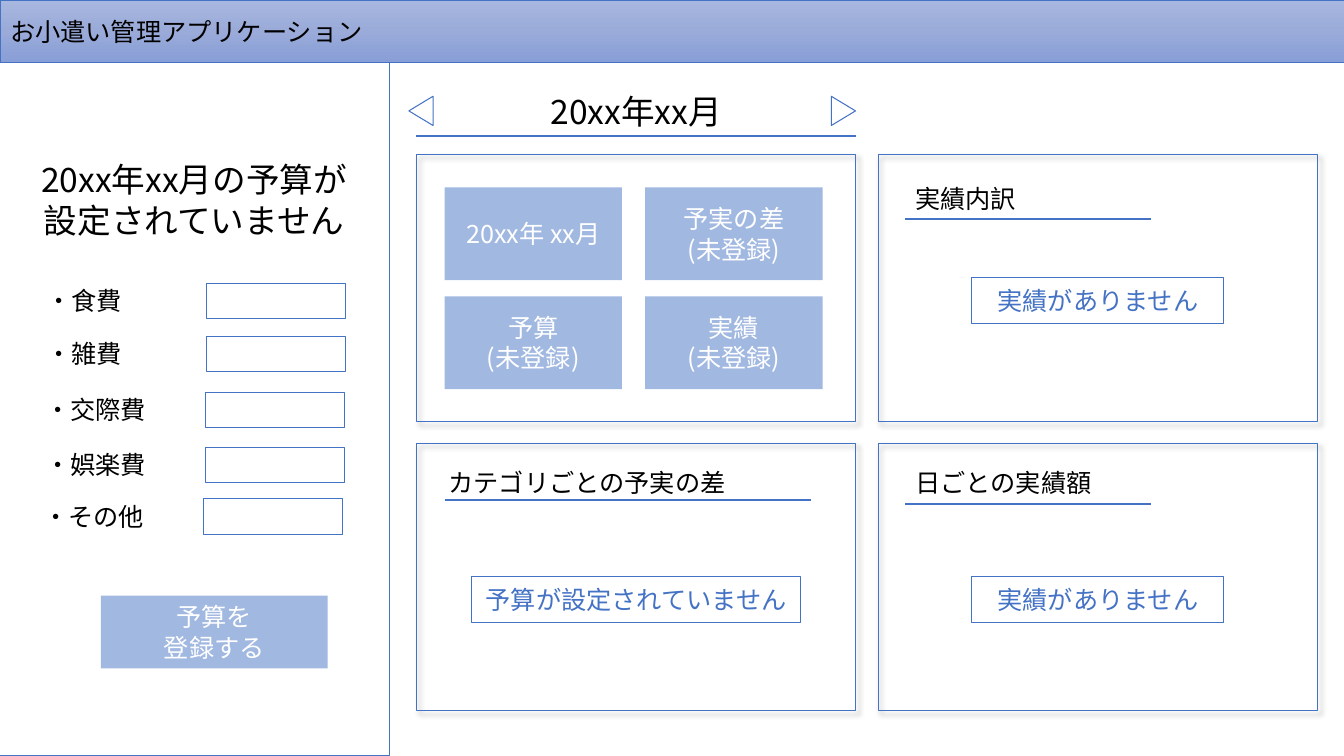
from copy import deepcopy
from dataclasses import dataclass

from lxml import etree
from pptx import Presentation
from pptx import util as u
from pptx.dml.color import RGBColor
from pptx.enum import shapes, text
from pptx.oxml.ns import qn

RECT = shapes.MSO_SHAPE.RECTANGLE
CENTER, LEFT = text.PP_ALIGN.CENTER, text.PP_ALIGN.LEFT


@dataclass(frozen=True)
class Theme:
    """Colours, font and type sizes of the slide."""
    accent: str = "4472C4"
    ink: str = "000000"
    white: str = "FFFFFF"
    bar: tuple = ("A8B7DF", "9AABD9", "889ED7")
    font: str = "Noto Sans CJK JP"
    head: int = 24
    body: int = 18
    thin: float = 0.75
    rule: float = 1.5


T = Theme()


def inches(*values):
    """Convert numbers to lengths."""
    return [u.Inches(v) for v in values]


def child(parent, tag, **attrs):
    """Append a DrawingML element."""
    return etree.SubElement(parent, qn(tag), attrs)


def write(sp, words, size=T.body, color=T.ink, align=CENTER):
    """Put text into a shape and format its runs."""
    tf = sp.text_frame
    tf.word_wrap = True
    tf.text = words
    for p in tf.paragraphs:
        p.alignment = align
        for r in p.runs:
            r.font.size = u.Pt(size)
            r.font.color.rgb = RGBColor.from_string(color)
            r.font.name = T.font
            child(r.font._element, "a:ea", typeface=T.font)


def label(s, box, words, size=T.body, align=LEFT):
    """Add a text box that grows with its text."""
    sp = s.shapes.add_textbox(*inches(*box))
    write(sp, words, size, align=align)
    sp.text_frame.auto_size = text.MSO_AUTO_SIZE.SHAPE_TO_FIT_TEXT


def outline(s, box, words="", kind=RECT):
    """Add an unfilled shape with a thin accent line."""
    sp = s.shapes.add_shape(kind, *inches(*box))
    sp.shadow.inherit = False
    sp.fill.background()
    sp.line.color.rgb = RGBColor.from_string(T.accent)
    sp.line.width = u.Pt(T.thin)
    if words:
        write(sp, words, color=T.accent)
    return sp


def tile(s, box, words):
    """Add a half-transparent block with white text."""
    sp = s.shapes.add_shape(RECT, *inches(*box))
    sp.shadow.inherit = False
    sp.fill.solid()
    sp.fill.fore_color.rgb = RGBColor.from_string(T.accent)
    child(sp._element.spPr.find(".//" + qn("a:srgbClr")), "a:alpha", val="50000")
    sp.line.fill.background()
    write(sp, words, color=T.white)


def rule(s, x, y, width):
    """Add a horizontal line."""
    line = s.shapes.add_connector(shapes.MSO_CONNECTOR.STRAIGHT,
                                  *inches(x, y, x + width, y))
    line.line.color.rgb = RGBColor.from_string(T.accent)
    line.line.width = u.Pt(T.rule)
    child(line._element.spPr, "a:effectLst")


def header(s, box):
    """Turn the title placeholder into the gradient bar."""
    sp = s.shapes.title
    sp.left, sp.top, sp.width, sp.height = inches(*box)
    sp.fill.gradient()
    sp.fill.gradient_angle = 270
    stops = sp._element.spPr.find(".//" + qn("a:gsLst"))
    stops.insert(1, deepcopy(stops[0]))
    for i, (stop, color) in enumerate(zip(sp.fill.gradient_stops, T.bar)):
        stop.position = i / 2
        stop.color.rgb = RGBColor.from_string(color)
    sp.line.color.rgb = RGBColor.from_string(T.accent)
    sp.line.width = u.Pt(0.5)
    write(sp, "お小遣い管理アプリケーション", align=LEFT)
    sp.text_frame.auto_size = text.MSO_AUTO_SIZE.NONE
    sp.text_frame.vertical_anchor = text.MSO_ANCHOR.MIDDLE


def sidebar(s, box):
    """Draw the budget form: message, fields and button."""
    x, y, w, h = box
    outline(s, box)
    label(s, (x + 0.14, y + 0.91, w - 0.29, 0.91),
          "20xx年xx月の予算が\v設定されていません", T.head, CENTER)
    fields = [("食費", 0.36, 2.16), ("雑費", 0.36, 2.69), ("交際費", 0.35, 3.24),
              ("娯楽費", 0.35, 3.79), ("その他", 0.33, 4.3)]
    for name, dx, dy in fields:
        label(s, (x + dx, y + dy, 1.6, 0.4), "・" + name)
        outline(s, (x + dx + 1.69, y + dy + 0.03, 1.38, 0.35))
    tile(s, (x + 1, y + 5.29, 2.25, 0.72), "予算を\v登録する")


def month_picker(s, box):
    """Draw the month with its rule and the two arrows."""
    x, y, w, h = box
    label(s, box, "20xx年xx月", T.head, CENTER)
    rule(s, x, y + h, w)
    for dx, angle in ((-0.1, 270), (w - 0.27, 90)):
        sp = outline(s, (x + dx, y + 0.13, 0.29, 0.24),
                     kind=shapes.MSO_SHAPE.ISOSCELES_TRIANGLE)
        sp.rotation = angle


def panel(s, box):
    """Draw a panel frame with a soft shadow."""
    sp = outline(s, box)
    shadow = child(sp._element.spPr.find(qn("a:effectLst")), "a:outerShdw",
                   blurRad=str(u.Pt(4)), dist=str(u.Pt(3)), dir="2700000",
                   algn="tl", rotWithShape="0")
    child(child(shadow, "a:srgbClr", val=T.ink), "a:alpha", val="40000")


def summary_panel(s, box):
    """Draw the panel with a two by two grid of tiles."""
    x, y, w, h = box
    panel(s, box)
    names = ["20xx年 xx月", "予実の差\v(未登録)", "予算\v(未登録)", "実績\v(未登録)"]
    for i, name in enumerate(names):
        row, col = divmod(i, 2)
        tile(s, (x + 0.28 + col * 1.99, y + 0.33 + row * 1.08, 1.76, 0.92), name)


def message_panel(s, box, title, message, title_at, rule_at, message_at):
    """Draw a panel with an underlined heading and a centred message."""
    x, y, w, h = box
    panel(s, box)
    dx, dy = title_at
    label(s, (x + dx, y + dy, w - 0.6, 0.4), title)
    dx, dy, width = rule_at
    rule(s, x + dx, y + dy, width)
    dy, width = message_at
    outline(s, (x + (w - width) / 2, y + dy, width, 0.46), message)


def main():
    """Build and save the slide."""
    prs = Presentation()
    prs.slide_width, prs.slide_height = inches(13.33, 7.5)
    s = prs.slides.add_slide(prs.slide_layouts[5])
    left, right, top, bottom, size = 4.13, 8.71, 1.53, 4.4, (4.36, 2.65)
    sidebar(s, (0, 0.62, 3.86, 6.88))
    header(s, (0, 0, 13.33, 0.62))
    month_picker(s, (left, 0.85, size[0], 0.5))
    summary_panel(s, (left, top, *size))
    message_panel(s, (right, top, *size), "実績内訳", "実績がありません",
                  (0.27, 0.24), (0.27, 0.64, 2.44), (1.22, 2.5))
    message_panel(s, (left, bottom, *size), "カテゴリごとの予実の差",
                  "予算が設定されていません",
                  (0.22, 0.19), (0.28, 0.56, 3.63), (1.32, 3.26))
    message_panel(s, (right, bottom, *size), "日ごとの実績額", "実績がありません",
                  (0.27, 0.19), (0.27, 0.6, 2.44), (1.32, 2.5))
    prs.save("out.pptx")


main()
